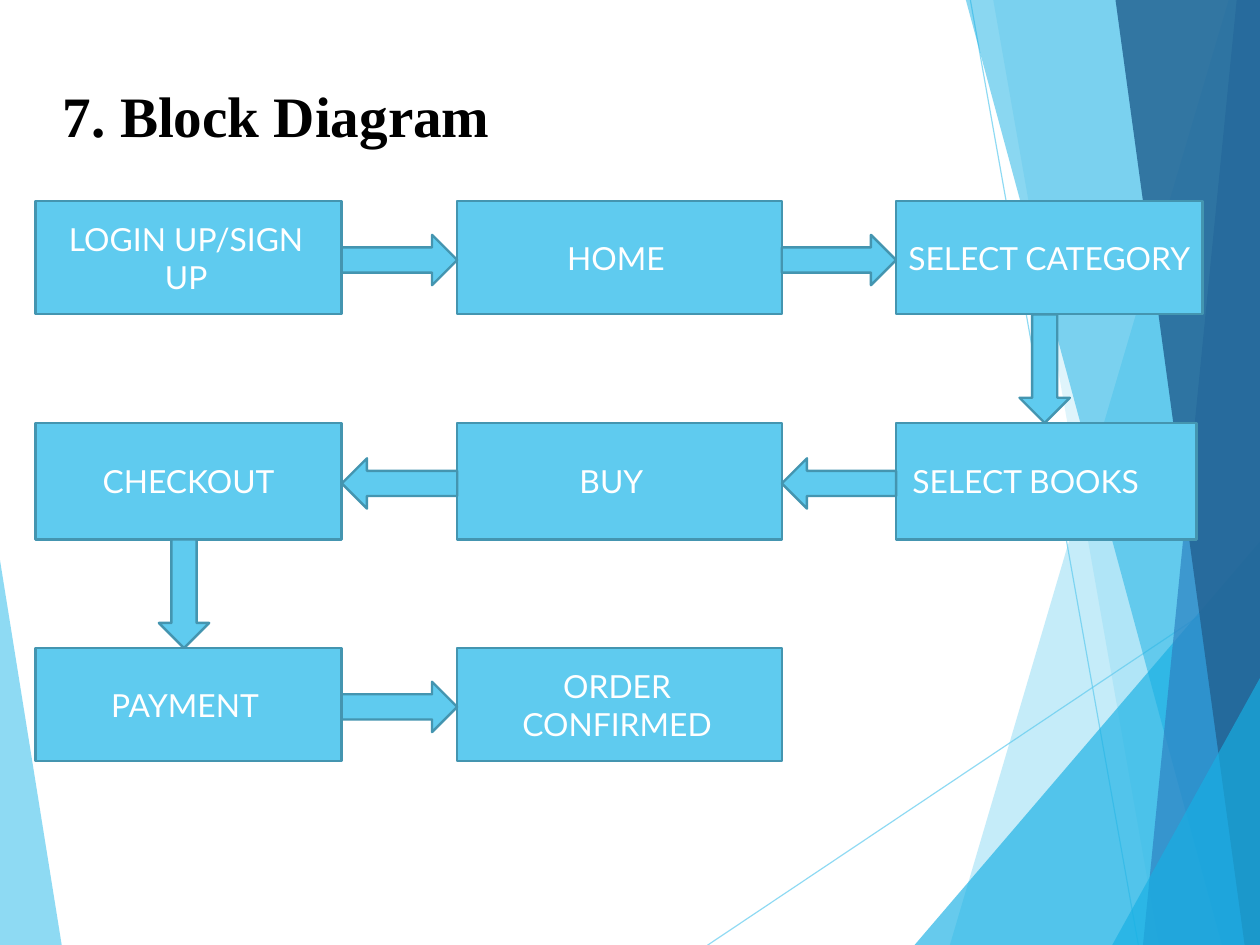
from itertools import pairwise
from pptx import Presentation
from pptx.dml.color import RGBColor
from pptx.enum.shapes import MSO_CONNECTOR, MSO_SHAPE
from pptx.enum.text import MSO_ANCHOR, PP_ALIGN
from pptx.oxml.ns import qn
from pptx.util import Cm, Inches, Pt
from lxml.etree import SubElement

BLACK = RGBColor(0x00, 0x00, 0x00)
WHITE = RGBColor(0xFF, 0xFF, 0xFF)
SKY = RGBColor(0x5F, 0xCB, 0xEF)
TEAL = RGBColor(0x44, 0x95, 0xB0)
CYAN = RGBColor(0x17, 0xB0, 0xE4)
BLUE = RGBColor(0x2E, 0x83, 0xC3)
NAVY = RGBColor(0x23, 0x62, 0x92)

W, H = 11.03, 8.27

RAYS = [((6.19, H), (W, 5.03)), ((8.49, 0), (9.96, H))]

FACETS = [
    (SKY, 70, [(-0.01, 4.84), (0.54, H), (-0.01, H)]),
    (SKY, 36, [(10.75, 0), (8.31, H), (W, H), (W, 0)]),
    (SKY, 20, [(8.69, 0), (10.14, H), (W, H), (W, 0)]),
    (CYAN, 66, [(8, H), (W, 4.73), (W, H)]),
    (CYAN, 50, [(8.45, 0), (10.69, H), (W, H), (W, 0)]),
    (BLUE, 70, [(10.82, 0), (10, H), (W, H), (W, 0)]),
    (NAVY, 82, [(9.76, 0), (10.89, H), (W, H), (W, 0)]),
    (CYAN, 66, [(9.73, H), (W, 5.92), (W, H)]),
]

COLUMNS = [(0, 2.68), (3.69, 2.84), (7.53, 2.68)]
ROWS = [(0, 0.99), (1.94, 1.02), (3.91, 0.99)]

STEPS = [
    ("LOGIN UP/SIGN UP", 0, 0, 0.04),
    ("HOME", 0, 1, 0.06),
    ("SELECT CATEGORY", 0, 2, 0),
    ("SELECT BOOKS", 1, 2, 0.36),
    ("BUY", 1, 1, 0.14),
    ("CHECKOUT", 1, 0, 0),
    ("PAYMENT", 2, 0, 0.06),
    ("ORDER CONFIRMED", 2, 1, 0.04),
]

ARROW = Inches(0.44)


def set_alpha(fill_parent, percent):
    clr = next(fill_parent.iter(qn("a:srgbClr")))
    SubElement(clr, qn("a:alpha")).set("val", str(percent * 1000))


def add_backdrop(slide, left, top):
    def place(point):
        return Inches(left + point[0]), Inches(top + point[1])

    def add_facet(color, alpha, points):
        start, *rest = [place(p) for p in points]
        fb = slide.shapes.build_freeform(*start)
        fb.add_line_segments(rest, close=True)
        sp = fb.convert_to_shape()
        sp.shadow.inherit = False
        sp.fill.solid()
        sp.fill.fore_color.rgb = color
        set_alpha(sp._element.spPr, alpha)
        sp.line.fill.background()

    add_facet(*FACETS[0])
    for start, end in RAYS:
        ray = slide.shapes.add_connector(
            MSO_CONNECTOR.STRAIGHT, *place(start), *place(end))
        ray.line.color.rgb = SKY
        ray.line.width = Pt(0.75)
        spPr = ray._element.spPr
        set_alpha(spPr, 70)
        SubElement(spPr, qn("a:effectLst"))
    for facet in FACETS[1:]:
        add_facet(*facet)


def add_title(slide, text, left, top, width, height):
    box = slide.shapes.add_textbox(
        Inches(left), Inches(top), Inches(width), Inches(height))
    tf = box.text_frame
    tf.word_wrap = True
    tf.vertical_anchor = MSO_ANCHOR.MIDDLE
    tf.margin_left = tf.margin_right = tf.margin_bottom = 0
    tf.margin_top = Inches(0.03)
    tf.text = text
    p = tf.paragraphs[0]
    p.line_spacing = 0.93
    r = p.runs[0]
    r.font.name = "Times New Roman"
    r.font.size = Pt(36)
    r.font.bold = True
    r.font.color.rgb = BLACK


def add_panel(slide, kind, left, top, width, height):
    sp = slide.shapes.add_shape(kind, left, top, width, height)
    sp.shadow.inherit = False
    sp.fill.solid()
    sp.fill.fore_color.rgb = SKY
    sp.line.color.rgb = TEAL
    sp.line.width = Pt(1.5)
    return sp


def add_block(slide, text, left, top, width, height, extra_margin):
    sp = add_panel(slide, MSO_SHAPE.RECTANGLE, Inches(left), Inches(top),
                   Inches(width), Inches(height))
    tf = sp.text_frame
    tf.word_wrap = True
    tf.vertical_anchor = MSO_ANCHOR.MIDDLE
    tf.margin_right = Inches(0.1 + extra_margin)
    tf.text = text
    p = tf.paragraphs[0]
    p.alignment = PP_ALIGN.CENTER
    r = p.runs[0]
    r.font.name = "Lato"
    r.font.size = Pt(20)
    r.font.color.rgb = WHITE
    return sp


def add_arrow(slide, a, b):
    if a.left == b.left:
        bottom = a.top + a.height
        center = a.left + a.width // 2 - Inches(0.04)
        add_panel(slide, MSO_SHAPE.DOWN_ARROW, center - ARROW // 2, bottom,
                  ARROW, b.top - bottom)
        return
    first, second = sorted((a, b), key=lambda sp: sp.left)
    kind = MSO_SHAPE.RIGHT_ARROW if first is a else MSO_SHAPE.LEFT_ARROW
    right = first.left + first.width
    middle = a.top + a.height // 2 + Inches(0.02)
    add_panel(slide, kind, right, middle - ARROW // 2,
              second.left - right, ARROW)


def add_flow(slide, left, top):
    blocks = []
    for text, row, col, extra_margin in STEPS:
        x, width = COLUMNS[col]
        y, height = ROWS[row]
        if text == "SELECT BOOKS":
            width -= 0.05
        blocks.append(add_block(slide, text, left + x, top + y,
                                width, height, extra_margin))
    for a, b in pairwise(blocks):
        add_arrow(slide, a, b)


def main():
    prs = Presentation()
    prs.slide_width, prs.slide_height = Cm(28), Cm(21)
    s = prs.slides.add_slide(prs.slide_layouts[6])
    add_backdrop(s, 0, 0)
    add_title(s, "7. Block Diagram", 0.55, 0.33, 9.92, 1.38)
    add_flow(s, 0.31, 1.76)
    prs.save("out.pptx")


if __name__ == "__main__":
    main()
